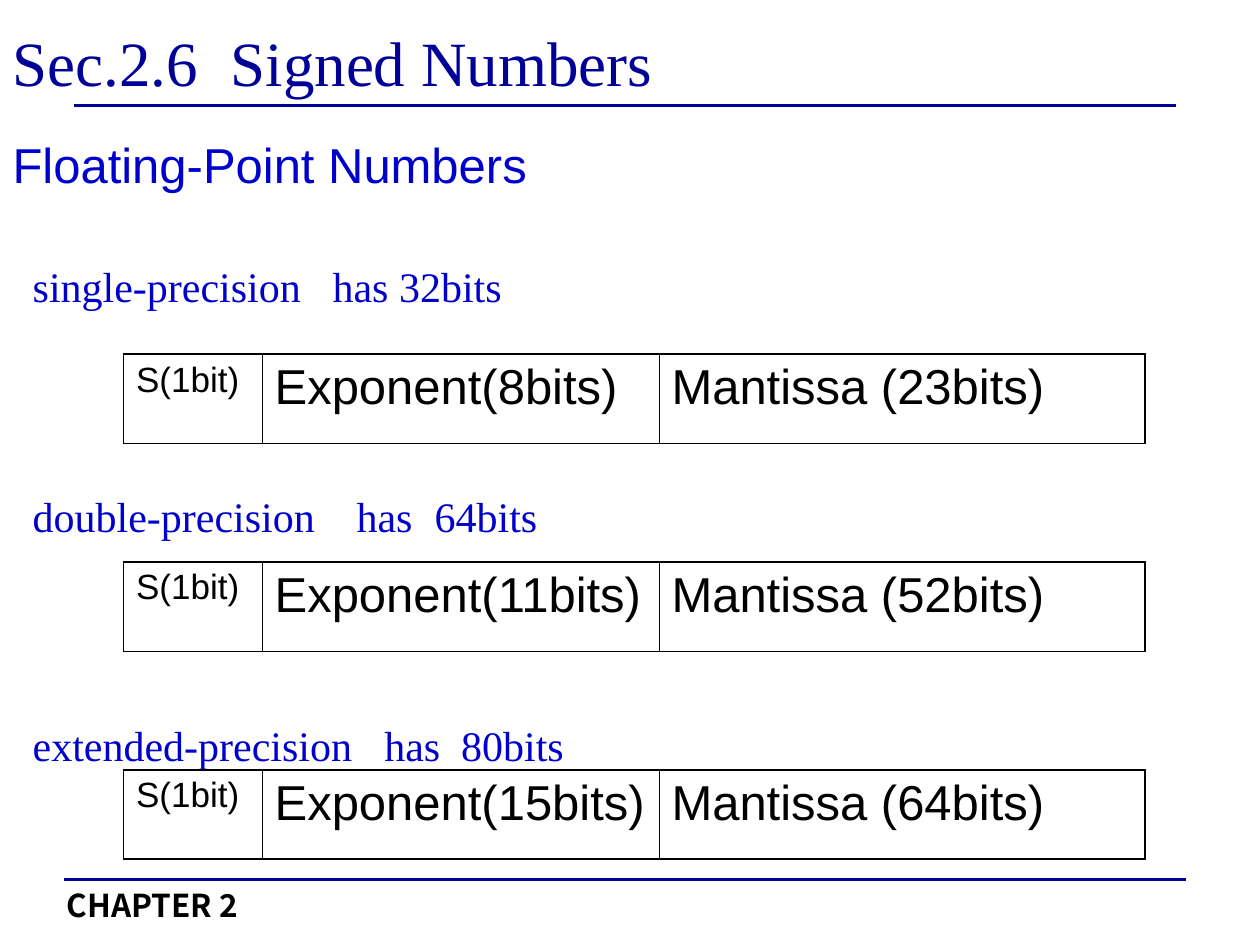
from dataclasses import dataclass
from typing import Any

from lxml.etree import SubElement
from pptx import Presentation
from pptx.dml.color import RGBColor as Rgb
from pptx.enum.shapes import MSO_CONNECTOR as Connector
from pptx.enum.text import MSO_ANCHOR as Anchor, PP_ALIGN as Align
from pptx.oxml.ns import qn
from pptx.util import Inches, Pt


@dataclass(frozen=True)
class Theme:
    navy: str = "000099"
    blue: str = "0000CC"
    black: str = "000000"
    serif: str = "Times New Roman"
    sans: str = "Arial"
    footer_face: str = "Noto Sans CJK SC"
    title: int = 36
    heading: int = 28
    label: int = 24
    sign: int = 20
    footer: int = 18
    rule: float = 1.5
    outer_border: float = 1.08
    inner_border: float = 0.45


@dataclass(frozen=True)
class Precision:
    label: str
    tabs: tuple[float, ...]
    exponent_bits: int
    mantissa_bits: int


THEME = Theme()
PRECISIONS = [
    Precision("single-precision\thas 32bits", (2.38,), 8, 23),
    Precision("double-precision\thas\t64bits", (2.57, 3.19), 11, 52),
    Precision("extended-precision\thas\t80bits", (2.79, 3.4), 15, 64),
]
FIELD_WIDTHS = (1.1, 3.15, 3.86)
TABLE_LEFT, TABLE_TOP, TABLE_STEP, TABLE_HEIGHT = 0.98, 2.81, 1.65, 0.71


def place(shape: Any, left: float, top: float, width: float, height: float) -> None:
    box = {"left": left, "top": top, "width": width, "height": height}
    for side, length in box.items():
        setattr(shape, side, Inches(length))


def write(paragraph: Any, text: str, size: int, face: str, color: str,
          bold: bool = False, tabs: tuple[float, ...] = ()) -> None:
    paragraph.alignment = Align.LEFT
    if tabs:
        stops = SubElement(paragraph._p.get_or_add_pPr(), qn("a:tabLst"))
        for stop in tabs:
            SubElement(stops, qn("a:tab"), pos=str(Inches(stop)), algn="l")
    run = paragraph.add_run()
    run.text = text
    for name, value in {"size": Pt(size), "name": face, "bold": bold}.items():
        setattr(run.font, name, value)
    run.font.color.rgb = Rgb.from_string(color)


def add_rule(slide: Any, left: float, right: float, y: float) -> None:
    rule = slide.shapes.add_connector(
        Connector.STRAIGHT, Inches(left), Inches(y), Inches(right), Inches(y))
    rule.line.color.rgb = Rgb.from_string(THEME.navy)
    rule.line.width = Pt(THEME.rule)
    SubElement(rule._element.spPr, qn("a:effectLst"))


def add_border(cell: Any, order: int, side: str, points: float) -> None:
    properties = cell._tc.get_or_add_tcPr()
    border = SubElement(properties, qn(f"a:ln{side}"), w=str(Pt(points)))
    fill = SubElement(border, qn("a:solidFill"))
    SubElement(fill, qn("a:srgbClr"), val=THEME.black)
    properties.insert(order, border)  # borders come before the fill


def add_format_table(slide: Any, precision: Precision, top: float) -> None:
    frame = slide.shapes.add_table(
        1, len(FIELD_WIDTHS), Inches(TABLE_LEFT), Inches(top),
        Inches(sum(FIELD_WIDTHS)), Inches(TABLE_HEIGHT))
    table = frame.table
    table.first_row = table.horz_banding = False
    fields = [
        ("S(1bit)", THEME.sign),
        (f"Exponent({precision.exponent_bits}bits)", THEME.heading),
        (f"Mantissa ({precision.mantissa_bits}bits)", THEME.heading),
    ]
    last = len(fields) - 1
    for index, ((text, size), width) in enumerate(zip(fields, FIELD_WIDTHS)):
        table.columns[index].width = Inches(width)
        cell = table.cell(0, index)
        cell.fill.background()
        write(cell.text_frame.paragraphs[0], text, size, THEME.sans, THEME.black)
        borders = {
            "L": THEME.outer_border if index == 0 else THEME.inner_border,
            "R": THEME.outer_border if index == last else THEME.inner_border,
            "T": THEME.outer_border,
            "B": THEME.outer_border,
        }
        for order, (side, points) in enumerate(borders.items()):
            add_border(cell, order, side, points)


def add_labels(slide: Any) -> None:
    labels = slide.shapes.add_textbox(Inches(0), Inches(1.82), Inches(10), Inches(4.3))
    frame = labels.text_frame
    frame.word_wrap = True
    frame.margin_left = Inches(0.26)
    for index, precision in enumerate(PRECISIONS):
        paragraph = frame.add_paragraph() if index else frame.paragraphs[0]
        write(paragraph, precision.label, THEME.label, THEME.serif, THEME.blue,
              tabs=precision.tabs)
        paragraph.line_spacing = 1.5
        paragraph.space_before = Pt(88 if index else 0)


def main() -> None:
    deck = Presentation()
    deck.slide_width, deck.slide_height = Inches(10), Inches(7.5)
    slide = deck.slides.add_slide(deck.slide_layouts[0])

    # Title and heading
    title, heading = slide.placeholders
    place(title, 0, 0.21, 9.57, 0.55)
    title.text_frame.vertical_anchor = Anchor.MIDDLE
    write(title.text_frame.paragraphs[0], "Sec.2.6\tSigned Numbers",
          THEME.title, THEME.serif, THEME.navy, tabs=(1.73,))
    place(heading, 0, 1.07, 8.27, 0.47)
    heading_line = heading.text_frame.paragraphs[0]
    write(heading_line, "Floating-Point Numbers", THEME.heading, THEME.sans, THEME.blue)
    heading_line.line_spacing = 0.9
    heading_line.space_before = Pt(0)

    # Rules and chapter footer
    add_rule(slide, 0.51, 9.41, 6.98)
    add_rule(slide, 0.59, 9.33, 0.84)
    footer = slide.shapes.add_textbox(Inches(0.43), Inches(6.98), Inches(2.6), Inches(0.4))
    footer.text_frame.word_wrap = True
    write(footer.text_frame.paragraphs[0], "CHAPTER 2", THEME.footer,
          THEME.footer_face, THEME.black, bold=True)

    # Precision labels with their bit layouts
    add_labels(slide)
    for index, precision in enumerate(PRECISIONS):
        add_format_table(slide, precision, TABLE_TOP + index * TABLE_STEP)

    deck.save("out.pptx")


if __name__ == "__main__":
    main()
